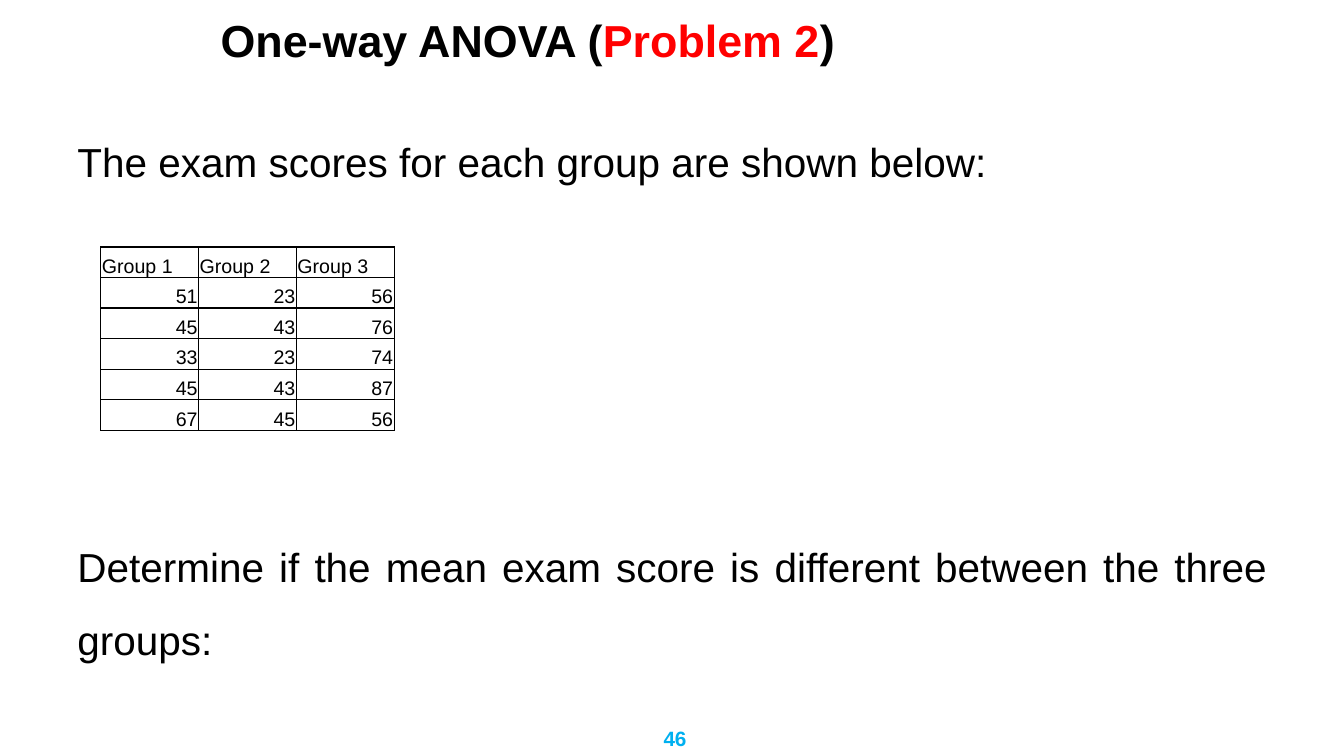
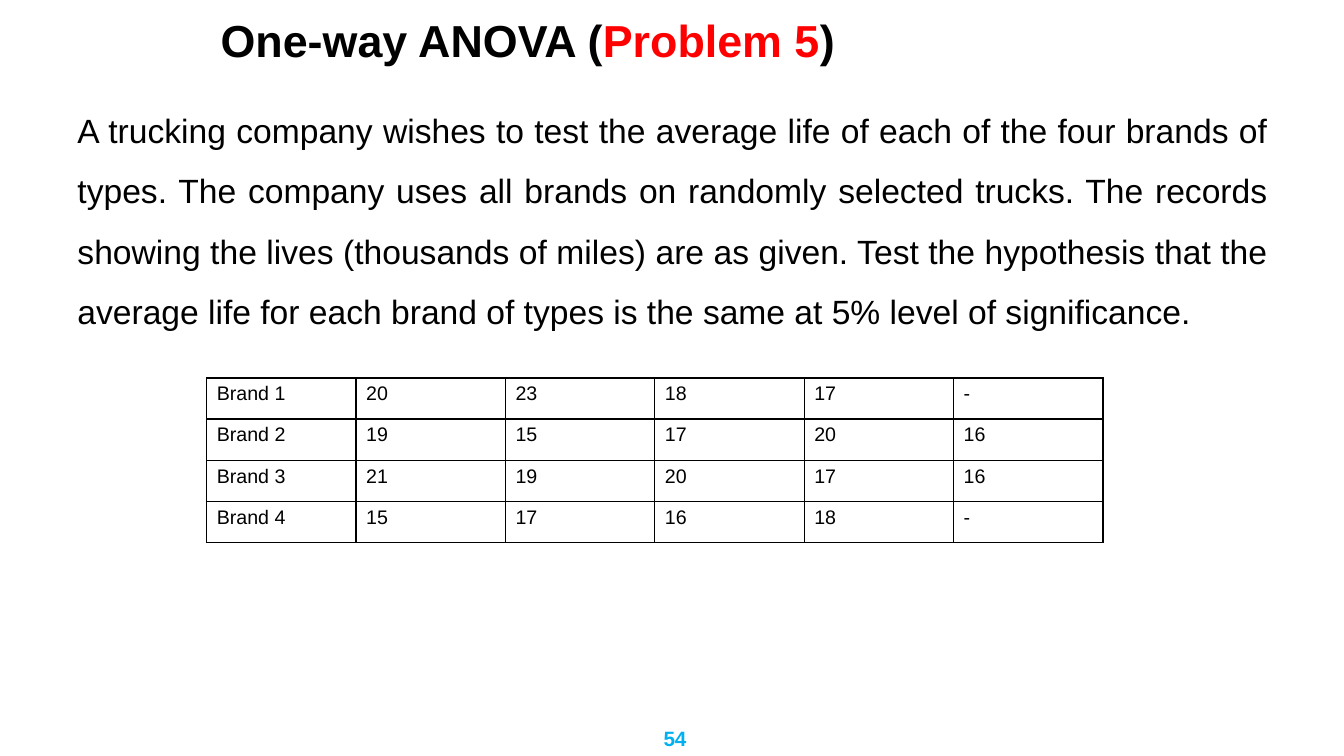
from dataclasses import dataclass
from lxml.etree import SubElement as Sub
from pptx import Presentation
from pptx.dml.color import RGBColor as Rgb
from pptx.enum.text import MSO_ANCHOR as Anchor, PP_ALIGN as Align
from pptx.oxml.ns import qn
from pptx.util import Inches as In, Pt


@dataclass(frozen=True)
class Theme:
    font: str = "Arial"
    ink: str = "000000"
    red: str = "FF0000"
    blue: str = "00B0F0"
    paper: str = "FFFFFF"
    head: float = 32
    cell: float = 14
    foot: float = 14.8
    lead: float = 1.5
    rule: float = 1


T = Theme()
WIDE, HIGH = 13.33, 7.5

# Content
SLIDES = [
    dict(
        name="Problem 2", page="46", top=1.07, size=28.9, gap=237,
        body=["The exam scores for each group are shown below:",
              "Determine if the mean exam score is different between "
              "the three groups:"],
        rows=[("Group 1", "Group 2", "Group 3"),
              ("51", "23", "56"), ("45", "43", "76"), ("33", "23", "74"),
              ("45", "43", "87"), ("67", "45", "56")],
        grid=(1, 2.45, 2.91, 1.82), tight=True),
    dict(
        name="Problem 5", page="54", top=0.84, size=24, gap=0,
        body=["A trucking company wishes to test the average life of each of "
              "the four brands of types. The company uses all brands on "
              "randomly selected trucks. The records showing the lives "
              "(thousands of miles) are as given. Test the hypothesis that "
              "the average life for each brand of types is the same at 5% "
              "level of significance."],
        rows=[("Brand 1", "20", "23", "18", "17", "-"),
              ("Brand 2", "19", "15", "17", "20", "16"),
              ("Brand 3", "21", "19", "20", "17", "16"),
              ("Brand 4", "15", "17", "16", "18", "-")],
        grid=(2.05, 3.75, 8.89, 1.63), tight=False),
]


def style(run, size, color=T.ink, bold=False):
    font = run.font
    font.name, font.size, font.bold = T.font, Pt(size), bold
    font.color.rgb = Rgb.from_string(color)


def add_box(slide, area, anchor=Anchor.TOP):
    frame = slide.shapes.add_textbox(*map(In, area)).text_frame
    frame.word_wrap = True
    frame.vertical_anchor = anchor
    return frame


def add_title(slide, name):
    frame = add_box(slide, (2.09, 0.16, WIDE - 2.1, 0.47), Anchor.MIDDLE)
    parts = [("One-way ANOVA (", T.ink), (name, T.red), (")", T.ink)]
    for text, color in parts:
        run = frame.paragraphs[0].add_run()
        run.text = text
        style(run, T.head, color, True)


def add_body(slide, item):
    frame = add_box(slide, (0.67, item["top"], 12, 5.63))
    frame.text = "\n".join(item["body"])
    for n, para in enumerate(frame.paragraphs):
        para.alignment = Align.JUSTIFY
        para.line_spacing = T.lead
        if n:
            para.space_before = Pt(item["gap"])
        style(para.runs[0], item["size"])


def add_page(slide, page):
    frame = add_box(slide, (6.16, 7.15, 1.07, HIGH - 7.15))
    frame.text = page
    para = frame.paragraphs[0]
    para.alignment = Align.CENTER
    style(para.runs[0], T.foot, T.blue, True)


def add_rules(cell):
    props = cell._tc.get_or_add_tcPr()
    for n, side in enumerate(("lnL", "lnR", "lnT", "lnB")):
        line = props.makeelement(qn("a:" + side), {"w": str(Pt(T.rule))})
        fill = Sub(line, qn("a:solidFill"))
        Sub(fill, qn("a:srgbClr"), val=T.ink)
        props.insert(n, line)


def add_grid(slide, item):
    rows, tight = item["rows"], item["tight"]
    area = item["grid"]
    table = slide.shapes.add_table(
        len(rows), len(rows[0]), *map(In, area)).table
    table.first_row = table.horz_banding = False
    for col in table.columns:
        col.width = In(area[2] / len(rows[0]))
    for r, row in enumerate(rows):
        table.rows[r].height = In(area[3] / len(rows))
        for c, text in enumerate(row):
            cell = table.cell(r, c)
            cell.text = text
            cell.fill.background()
            add_rules(cell)
            para = cell.text_frame.paragraphs[0]
            style(para.runs[0], T.cell)
            if tight:
                cell.vertical_anchor = Anchor.BOTTOM
                cell.margin_left = cell.margin_right = In(0.01)
                cell.margin_top, cell.margin_bottom = In(0.01), 0
                para.alignment = Align.RIGHT if r else Align.LEFT


def main():
    deck = Presentation()
    deck.slide_width, deck.slide_height = In(WIDE), In(HIGH)
    for item in SLIDES:
        slide = deck.slides.add_slide(deck.slide_layouts[6])
        back = slide.background.fill
        back.solid()
        back.fore_color.rgb = Rgb.from_string(T.paper)
        add_title(slide, item["name"])
        add_body(slide, item)
        add_page(slide, item["page"])
        add_grid(slide, item)
    deck.save("out.pptx")


if __name__ == "__main__":
    main()
